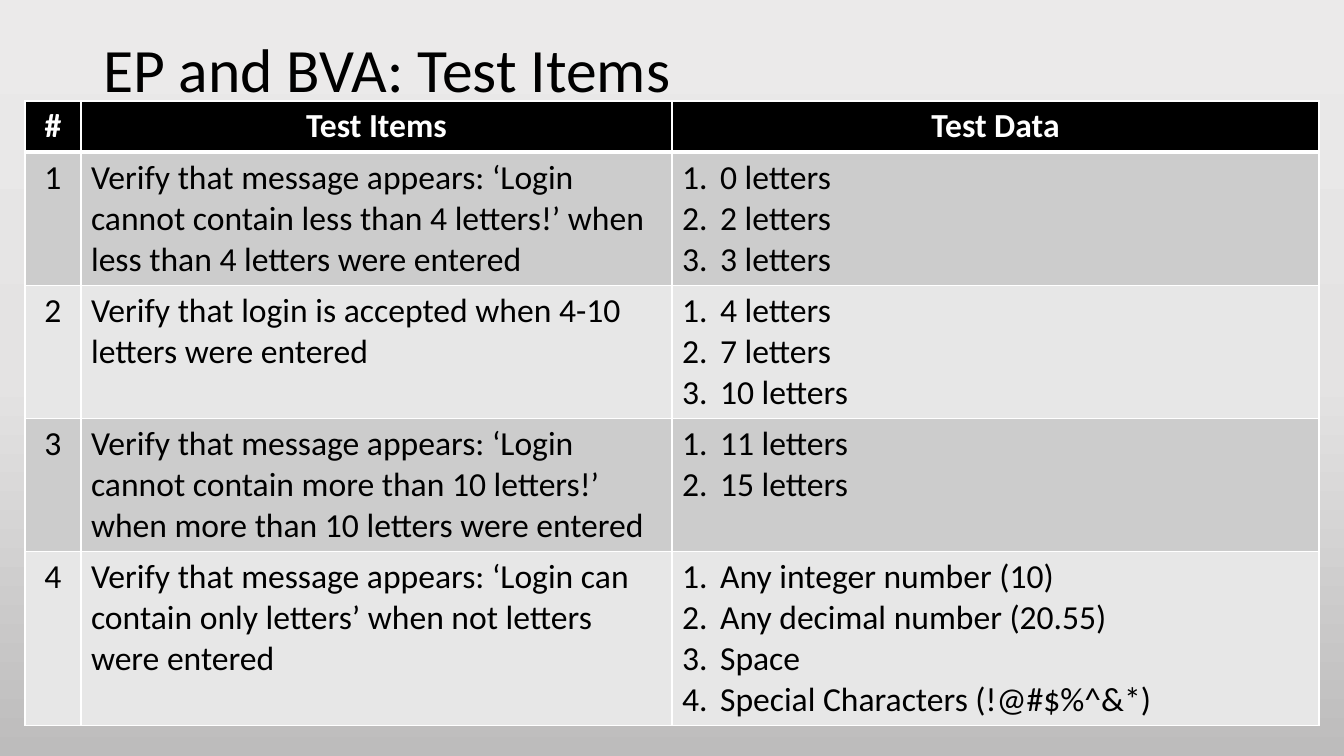
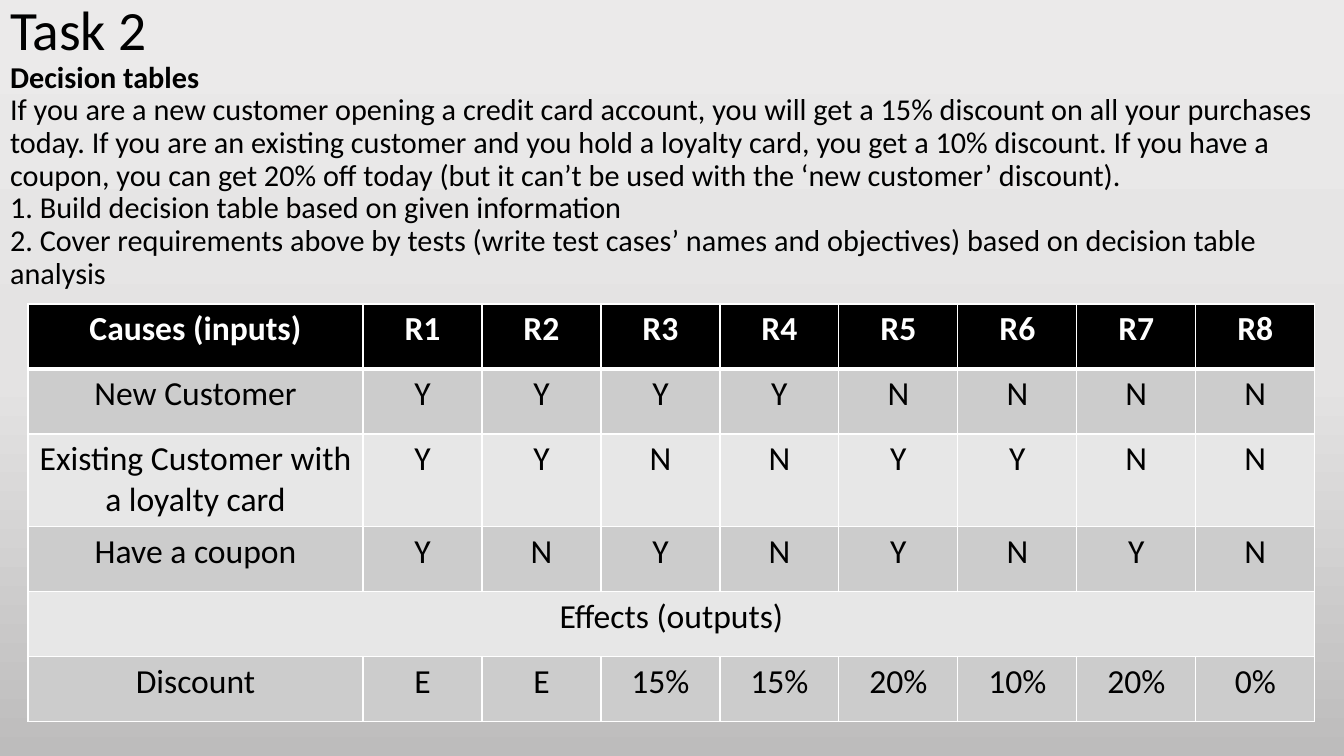
"""Build two slides on test design: equivalence test items and a decision table."""
from copy import deepcopy
from dataclasses import dataclass

from lxml import etree
from pptx import Presentation, util as u
from pptx.dml.color import RGBColor
from pptx.enum import text
from pptx.oxml import ns

CENTER, LEFT = text.PP_ALIGN.CENTER, text.PP_ALIGN.LEFT


@dataclass(frozen=True)
class Theme:
    """Colours, font and type sizes shared by the slides."""

    font: str = "Calibri"
    ink: str = "000000"
    paper: str = "FFFFFF"
    bands: tuple = ("E7E7E7", "CCCCCC")
    backdrop: tuple = ((0, "EBEAEA"), (0.5, "E4E3E3"), (1, "BDBCBC"))
    title: float = 44
    task_title: float = 39.6
    task_text: float = 21.6
    table: float = 24
    line: float = 1
    header_line: float = 3


THEME = Theme()


def px(length):
    """Turn pixels into EMU."""
    return u.Emu(round(length * 914400 / 100.8))


def apply(target, values):
    """Set each attribute in values on the target."""
    for name, value in values.items():
        setattr(target, name, value)


def write(paragraph, words, size, color=THEME.ink, bold=False, **layout):
    """Put formatted words into a paragraph."""
    run = paragraph.add_run()
    run.text = words
    apply(run.font, {"name": THEME.font, "size": u.Pt(size), "bold": bold})
    run.font.color.rgb = RGBColor.from_string(color)
    apply(paragraph, layout)


def paragraphs(frame, count):
    """Yield count paragraphs of a frame, starting with its first."""
    for index in range(count):
        yield frame.add_paragraph() if index else frame.paragraphs[0]


def number(paragraph):
    """Give a paragraph an automatic number with a hanging indent."""
    properties = paragraph._p.get_or_add_pPr()
    indent = px(38)
    properties.set("marL", str(indent))
    properties.set("indent", str(-indent))
    etree.SubElement(properties, ns.qn("a:buFont"), typeface=THEME.font)
    etree.SubElement(properties, ns.qn("a:buAutoNum"), type="arabicPeriod")


def paint_backdrop(master):
    """Give the master a vertical three-stop gradient."""
    fill = master.background.fill
    fill.gradient()
    fill.gradient_angle = 270
    stops = master.element.find(".//" + ns.qn("a:gsLst"))
    stops.append(deepcopy(stops[-1]))
    for stop, (position, color) in zip(fill.gradient_stops, THEME.backdrop):
        stop.position = position
        stop.color.rgb = RGBColor.from_string(color)


def add_title(slide, box, lines):
    """Place the title; each line is (words, size, bold)."""
    title = slide.shapes.title
    apply(title, dict(zip(("left", "top", "width", "height"), map(px, box))))
    frame = title.text_frame
    apply(frame, {"word_wrap": True, "auto_size": text.MSO_AUTO_SIZE.NONE,
                  "vertical_anchor": text.MSO_ANCHOR.MIDDLE})
    for paragraph, (words, size, bold) in zip(paragraphs(frame, len(lines)), lines):
        write(paragraph, words, size, bold=bold, alignment=LEFT, line_spacing=0.9)


def style_cell(cell, row):
    """Draw the borders and band fill of a cell in the given row."""
    properties = cell._tc.get_or_add_tcPr()
    heavy_edge = {0: "B", 1: "T"}.get(row)
    for edge in "LRTB":
        width = THEME.header_line if edge == heavy_edge else THEME.line
        line = etree.SubElement(properties, ns.qn("a:ln" + edge), w=str(u.Pt(width)))
        fill = etree.SubElement(line, ns.qn("a:solidFill"))
        etree.SubElement(fill, ns.qn("a:srgbClr"), val=THEME.paper)
    cell.fill.solid()
    color = THEME.bands[row % 2] if row else THEME.ink
    cell.fill.fore_color.rgb = RGBColor.from_string(color)


def fill_cell(cell, content, header, alignment):
    """Write plain words, or a numbered list when content is a list."""
    numbered = isinstance(content, list)
    items = content if numbered else [content]
    color = THEME.paper if header else THEME.ink
    for paragraph, words in zip(paragraphs(cell.text_frame, len(items)), items):
        write(paragraph, words, THEME.table, color, header,
              alignment=CENTER if header else alignment)
        if numbered:
            number(paragraph)


def add_grid(slide, corner, widths, heights, rows, alignments):
    """Place a banded table; a row with one entry spans all columns."""
    box = (*corner, sum(widths), sum(heights))
    table = slide.shapes.add_table(len(heights), len(widths), *map(px, box)).table
    for column, width in zip(table.columns, widths):
        column.width = px(width)
    for index, (height, contents) in enumerate(zip(heights, rows)):
        table.rows[index].height = px(height)
        cells = table.rows[index].cells
        for cell in cells:
            style_cell(cell, index)
        if len(contents) == 1:
            table.cell(index, 0).merge(table.cell(index, len(widths) - 1))
        for column, (content, alignment) in enumerate(zip(contents, alignments)):
            fill_cell(table.cell(index, column), content, index == 0, alignment)


def add_test_items(slide):
    """Build the slide of test items and their data."""
    add_title(slide, (93, 0, 1159, 146), [("EP and BVA: Test Items", THEME.title, False)])
    rows = [
        ("#", "Test Items", "Test Data"),
        ("1", "Verify that message appears: ‘Login cannot contain less than 4 letters!’ "
         "when less than 4 letters were entered", ["0 letters", "2 letters", "3 letters"]),
        ("2", "Verify that login is accepted when 4-10 letters were entered",
         ["4 letters", "7 letters", "10 letters"]),
        ("3", "Verify that message appears: ‘Login cannot contain more than 10 letters!’ "
         "when more than 10 letters were entered", ["11 letters", "15 letters"]),
        ("4", "Verify that message appears: ‘Login can contain only letters’ "
         "when not letters were entered",
         ["Any integer number (10)", "Any decimal number (20.55)", "Space",
          "Special Characters (!@#$%^&*)"]),
    ]
    add_grid(slide, (25, 101), (56, 591, 647), (51, 133, 133, 133, 174),
             rows, (CENTER, LEFT, LEFT))


def add_decision_table(slide):
    """Build the slide of the decision table task."""
    task = (
        "If you are a new customer opening a credit card account, you will get a 15% "
        "discount on all your purchases today. If you are an existing customer and you "
        "hold a loyalty card, you get a 10% discount. If you have a coupon, you can get "
        "20% off today (but it can’t be used with the ‘new customer’ discount).",
        "1. Build decision table based on given information",
        "2. Cover requirements above by tests (write test cases’ names and objectives) "
        "based on decision table analysis",
    )
    add_title(slide, (0, 0, 1344, 293), [
        ("Task 2", THEME.task_title, False),
        ("Decision tables", THEME.task_text, True),
        *((words, THEME.task_text, False) for words in task),
    ])
    rules = 8
    rows = [
        ("Causes (inputs)", *(f"R{rule + 1}" for rule in range(rules))),
        ("New Customer", *"YYYYNNNN"),
        ("Existing Customer with a loyalty card", *"YYNNYYNN"),
        ("Have a coupon", *"YNYNYNYN"),
        ("Effects (outputs)",),
        ("Discount", "E", "E", "15%", "15%", "20%", "10%", "20%", "0%"),
    ]
    add_grid(slide, (28, 304), (335, *[119] * rules), (65, 65, 93, 65, 65, 65),
             rows, [CENTER] * (rules + 1))


def main():
    """Build and save the presentation."""
    presentation = Presentation()
    apply(presentation, {"slide_width": px(1344), "slide_height": px(756)})
    paint_backdrop(presentation.slide_master)
    for build in (add_test_items, add_decision_table):
        build(presentation.slides.add_slide(presentation.slide_layouts[5]))
    presentation.save("out.pptx")


main()
